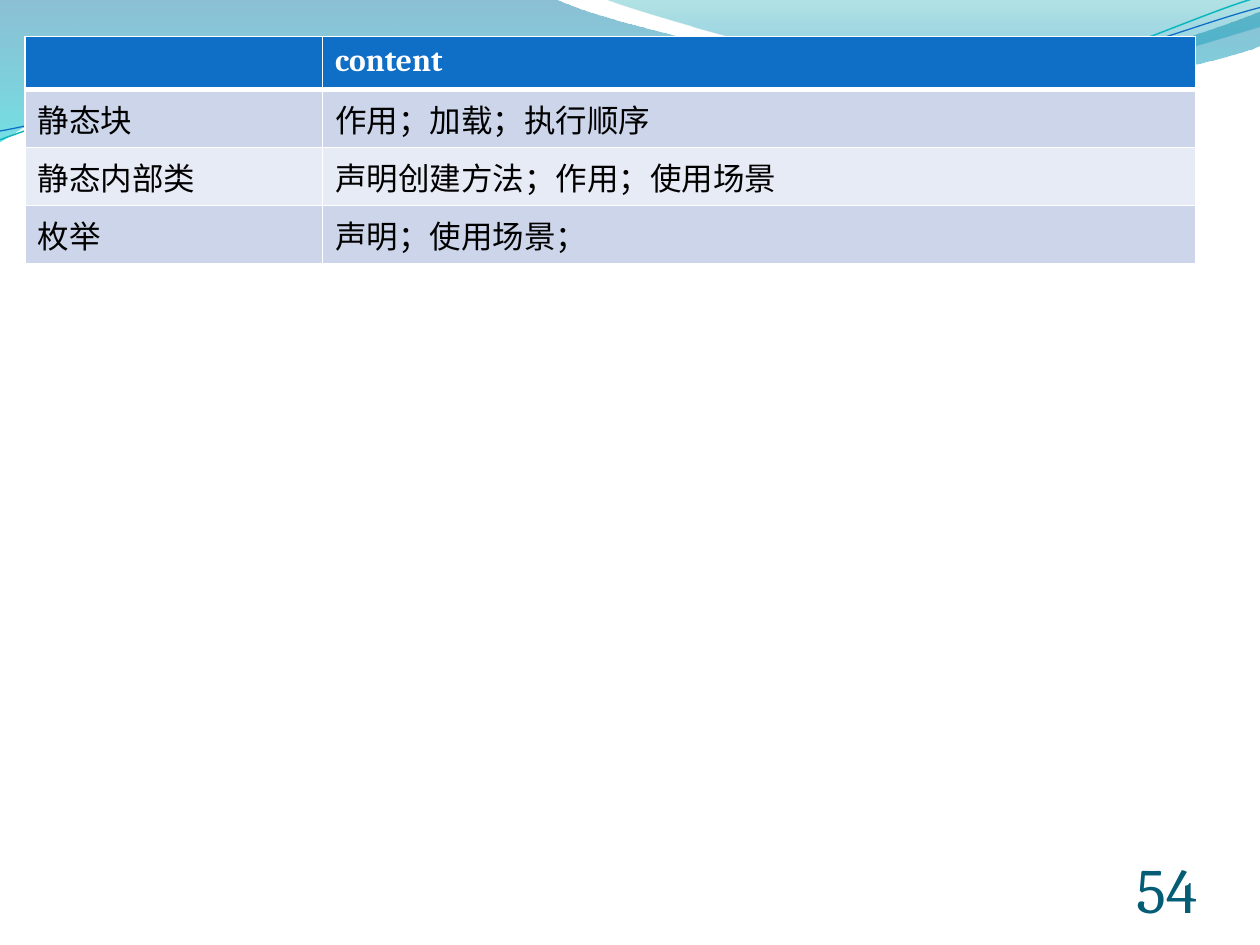
from dataclasses import dataclass

from lxml import etree
from pptx import Presentation, util as u
from pptx.dml.color import RGBColor
from pptx.enum import text
from pptx.oxml.ns import qn


@dataclass(frozen=True)
class Theme:
    font: str = "Cambria"
    body_size: int = 18
    number_size: int = 36
    blue: str = "0F6FC6"
    teal: str = "0AB8BF"
    number: str = "045D75"
    white: str = "FFFFFF"
    black: str = "000000"
    bands: tuple = ("CCD5EA", "E7EBF5")
    # Gradient stops: position, colour, opacity in percent
    broad_wave: tuple = ((0, "0074A1", 45), (100, "00C6CF", 55))
    top_wave: tuple = ((0, "00A1A9", 30), (80, "008BBF", 45))


def write(frame, words, *, size, color, font, bold=False, align=None):
    para = frame.paragraphs[0]
    para.alignment = align
    span = para.add_run()
    span.text = words
    span.font.name, span.font.size, span.font.bold = font, u.Pt(size), bold
    span.font.color.rgb = RGBColor.from_string(color)


class Painter:
    def __init__(self, page, theme):
        self.page, self.theme = page, theme

    def outline(self, start, segments, close):
        """Draw a path; a segment of six numbers is a cubic curve, of two a line."""
        corners = [(u.Inches(x), u.Inches(y)) for segment in segments
                   for x, y in zip(segment[::2], segment[1::2])]
        builder = self.page.shapes.build_freeform(*map(u.Inches, start))
        builder.add_line_segments(corners, close=close)
        shape = builder.convert_to_shape()
        shape.shadow.inherit = False
        # Join each three corners of a curve into one cubic segment
        lines = iter(list(shape._element.iter(qn("a:lnTo"))))
        for segment in segments:
            first = next(lines)
            if len(segment) == 6:
                first.tag = qn("a:cubicBezTo")
                for line in (next(lines), next(lines)):
                    first.append(line[0])
                    line.getparent().remove(line)
        return shape

    def wave(self, start, segments, stops):
        shape = self.outline(start, segments, True)
        shape.line.fill.background()
        shape.fill.gradient()
        shape.fill.gradient_angle = 270
        for stop, (position, color, opacity) in zip(shape.fill.gradient_stops, stops):
            stop.position = position / 100
            stop.color.rgb = RGBColor.from_string(color)
        colors = shape._element.spPr.iter(qn("a:srgbClr"))
        for node, (_, _, opacity) in zip(list(colors), stops):
            etree.SubElement(node, qn("a:alpha"), val=str(opacity * 1000))

    def curve(self, start, segments, color, width):
        shape = self.outline(start, segments, False)
        shape.fill.background()
        shape.line.color.rgb = RGBColor.from_string(color)
        shape.line.width = u.Pt(width)

    def label(self, words, left, top, width, height, **style):
        box = self.page.shapes.add_textbox(*map(u.Inches, (left, top, width, height)))
        frame = box.text_frame
        frame.word_wrap = True
        frame.vertical_anchor = text.MSO_ANCHOR.BOTTOM
        frame.margin_left = frame.margin_right = 0
        frame.margin_top = frame.margin_bottom = 0
        write(frame, words, font=self.theme.font, **style)

    def border(self, cell, **widths):
        properties = cell._tc.get_or_add_tcPr()
        for side, width in widths.items():
            line = etree.SubElement(properties, qn(f"a:ln{side}"), w=str(u.Pt(width)))
            fill = etree.SubElement(line, qn("a:solidFill"))
            etree.SubElement(fill, qn("a:srgbClr"), val=self.theme.white)

    def table(self, rows, left, top, widths, header_height, body_height):
        theme = self.theme
        heights = [header_height] + [body_height] * (len(rows) - 1)
        grid = self.page.shapes.add_table(
            len(rows), len(widths), u.Inches(left), u.Inches(top),
            u.Inches(sum(widths)), u.Inches(sum(heights))).table
        for column, width in zip(grid.columns, widths):
            column.width = u.Inches(width)
        for r, row in enumerate(rows):
            grid.rows[r].height = u.Inches(heights[r])
            header = r == 0
            for c, words in enumerate(row):
                cell = grid.cell(r, c)
                self.border(cell, L=1, R=1, T=3 if r == 1 else 1, B=3 if header else 1)
                cell.fill.solid()
                cell.fill.fore_color.rgb = RGBColor.from_string(
                    theme.blue if header else theme.bands[(r - 1) % 2])
                if words:
                    write(cell.text_frame, words, size=theme.body_size,
                          font=theme.font, bold=header,
                          color=theme.white if header else theme.black)


def main():
    deck = Presentation()
    deck.slide_width, deck.slide_height = u.Inches(10), u.Inches(7.5)
    theme = Theme()
    painter = Painter(deck.slides.add_slide(deck.slide_layouts[6]), theme)

    # Waves along the top edge
    painter.wave((0, 0), [
        (4.4, -0.01), (4.76, 0.17, 6.64, 0.63, 7.58, 0.63),
        (8.53, 0.63, 9.58, 0.26, 10, 0.09), (10.01, 0.36),
        (9.83, 0.44, 8.7, 0.76, 7.46, 0.75), (6.22, 0.75, 3.82, 0.28, 2.57, 0.34),
        (1.29, 0.36, 0.46, 0.83, -0.01, 1.13)], theme.broad_wave)
    painter.wave((4.79, -0.01), [
        (5.09, 0.11, 6.82, 0.62, 7.69, 0.65),
        (8.56, 0.69, 9.61, 0.32, 10, 0.21), (10, 0)], theme.top_wave)

    # Thin curves over the waves
    painter.curve((0, 1.11), [
        (0.48, 0.93, 1.58, 0.57, 2.77, 0.52), (3.95, 0.47, 5.93, 0.89, 7.13, 0.8),
        (8.33, 0.71, 9.38, 0.15, 9.98, -0.02)], theme.teal, 0.85)
    painter.curve((0, 1.04), [
        (0.47, 0.96, 1.64, 0.61, 2.83, 0.56), (4.03, 0.51, 5.97, 0.84, 7.17, 0.75),
        (8.36, 0.67, 9.41, 0.21, 10, 0.06)], theme.blue, 0.75)

    # Page number
    painter.label("54", 8.67, 6.95, 0.83, 0.4, size=theme.number_size,
                  color=theme.number, align=text.PP_ALIGN.RIGHT)

    # Topics table
    painter.table([
        ("", "content"),
        ("静态块", "作用；加载；执行顺序"),
        ("静态内部类", "声明创建方法；作用；使用场景"),
        ("枚举", "声明；使用场景；"),
    ], 0.2, 0.29, (2.36, 6.93), 0.42, 0.46)

    deck.save("out.pptx")


if __name__ == "__main__":
    main()
